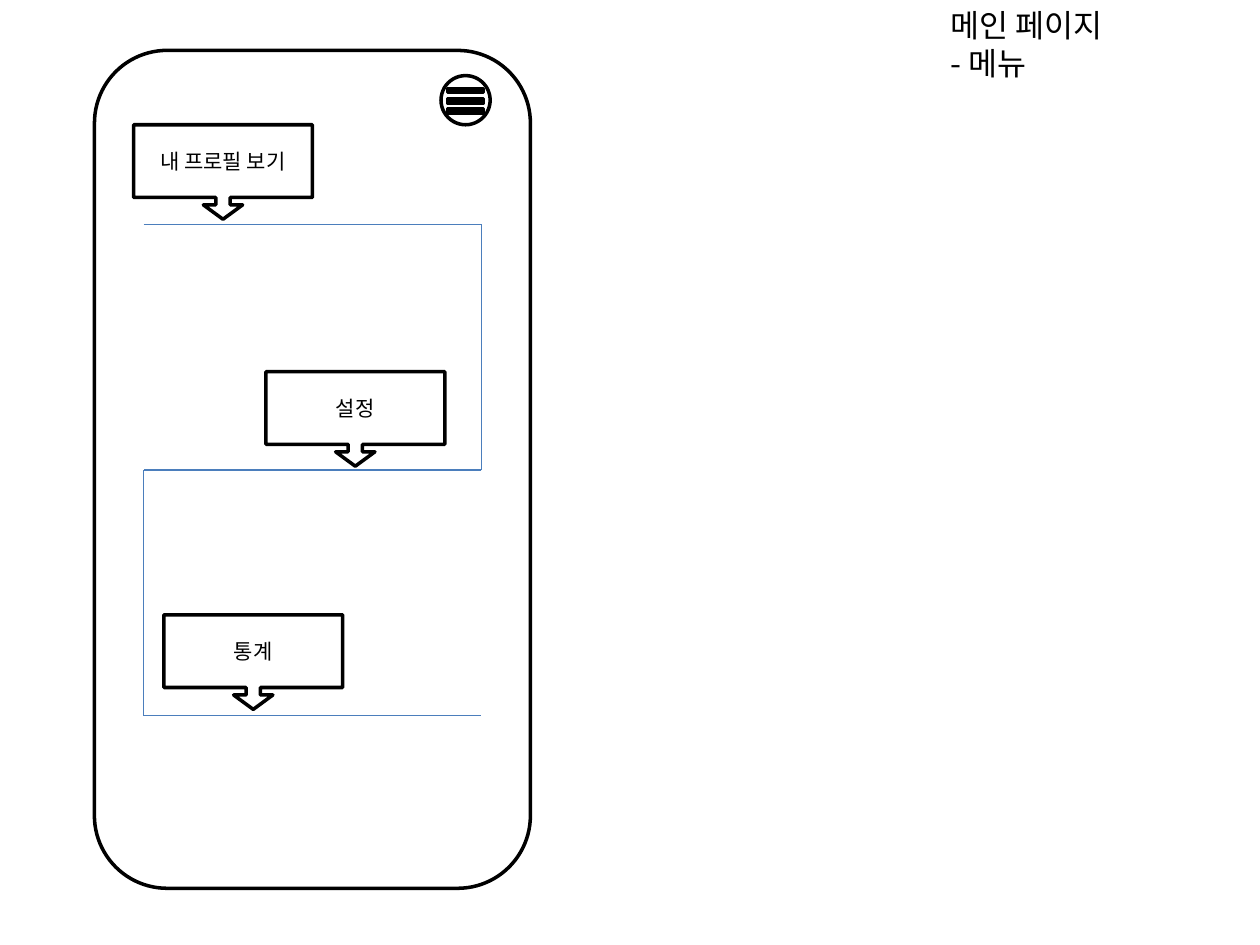
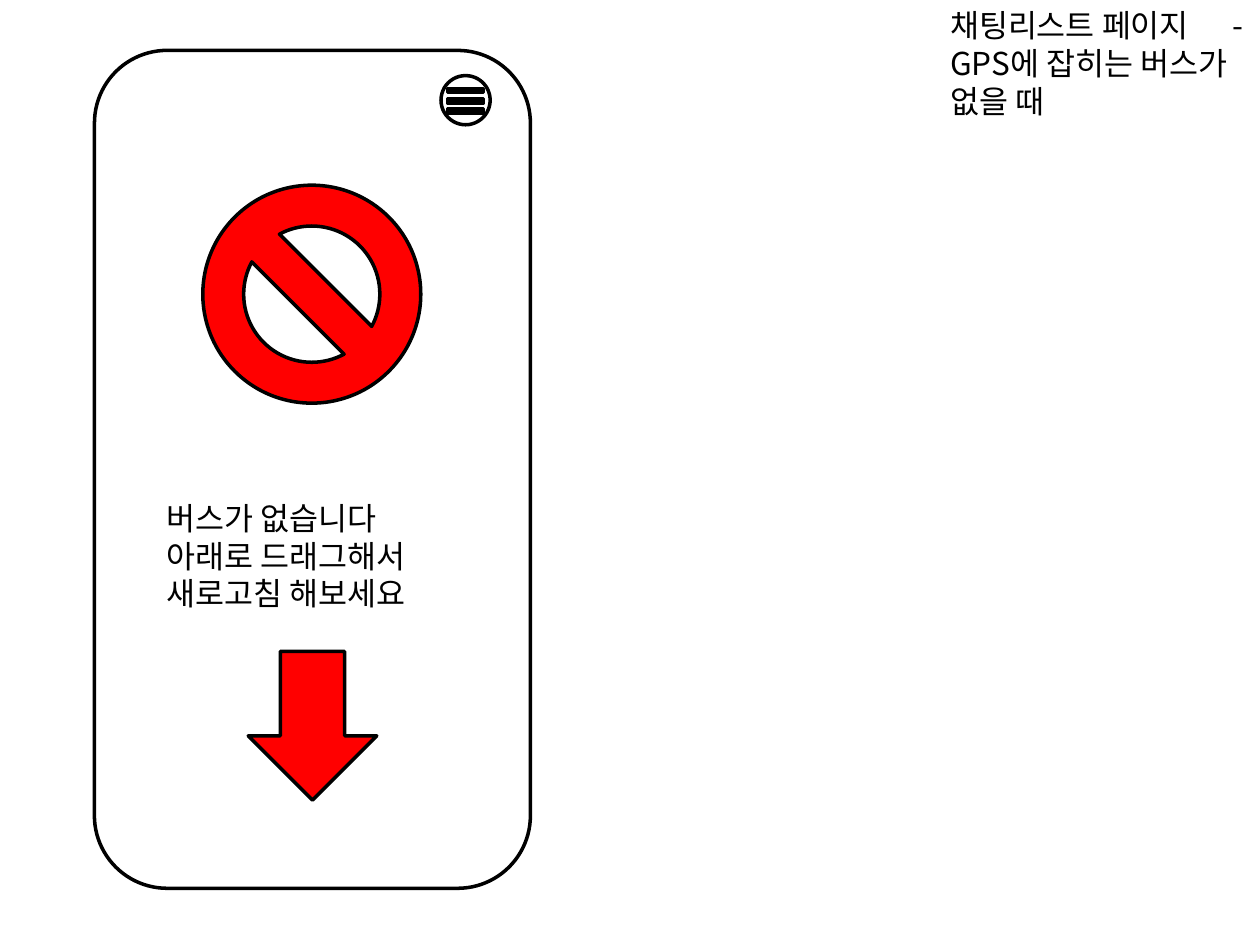
"""Builds two wireframe slides of a mobile bus-chat app."""
from itertools import pairwise

from lxml.etree import SubElement
from pptx import Presentation
from pptx.dml.color import RGBColor
from pptx.enum.shapes import MSO_CONNECTOR, MSO_SHAPE as Shape
from pptx.enum.text import MSO_ANCHOR as Anchor, MSO_AUTO_SIZE as AutoSize, PP_ALIGN as Align
from pptx.oxml.ns import qn
from pptx.util import Inches, Pt

BLACK = RGBColor(0, 0, 0)
WHITE = RGBColor(255, 255, 255)
RED = RGBColor(255, 0, 0)
BLUE = RGBColor(0x4B, 0x7E, 0xBC)
FONT = "Noto Sans CJK KR"
COLUMNS, ROWS = 100, 75
TITLE_ONLY = 5


class Wireframe:
    """Holds the deck, its style and the current page; lengths are grid cells."""

    def __init__(self):
        self.deck = Presentation()
        self.deck.slide_width, self.deck.slide_height = Inches(10), Inches(7.5)
        self.page = None

    def across(self, columns):
        return round(self.deck.slide_width * columns / COLUMNS)

    def down(self, rows):
        return round(self.deck.slide_height * rows / ROWS)

    def area(self, left, top, width, height):
        return self.across(left), self.down(top), self.across(width), self.down(height)

    def set_text(self, box, lines, size, align=Align.LEFT, anchor=Anchor.TOP, tab=None):
        frame = box.text_frame
        frame.text = "\n".join(lines)
        frame.word_wrap = True
        frame.auto_size = AutoSize.NONE
        frame.vertical_anchor = anchor
        for para in frame.paragraphs:
            para.alignment = align
            if tab:
                stops = SubElement(para._p.get_or_add_pPr(), qn("a:tabLst"))
                SubElement(stops, qn("a:tab"), pos=str(self.across(tab)), algn="l")
            para.font.size = Pt(size)
            para.font.color.rgb = BLACK
            para.font.name = FONT
            SubElement(para.font._element, qn("a:ea"), typeface=FONT)

    def new_page(self, heading, height, tab=None):
        self.page = self.deck.slides.add_slide(self.deck.slide_layouts[TITLE_ONLY])
        title = self.page.shapes.title
        title.left, title.top, title.width, title.height = self.area(74.4, 0, 25.6, height)
        self.set_text(title, heading, 18, tab=tab)
        self.phone()

    def shape(self, kind, area, fill=WHITE, parent=None):
        box = (parent or self.page).shapes.add_shape(kind, *self.area(*area))
        box.shadow.inherit = False
        box.fill.solid()
        box.fill.fore_color.rgb = fill
        box.line.color.rgb = BLACK
        box.line.width = Pt(2)
        return box

    def phone(self):
        self.shape(Shape.ROUNDED_RECTANGLE, (7.5, 4, 34.6, 66.5))
        self.shape(Shape.OVAL, (35, 6, 3.9, 3.9))
        menu = self.page.shapes.add_group_shape()
        for bar in range(3):
            self.shape(Shape.MATH_MINUS, (35, 6.5 + 0.8 * bar, 3.9, 1.4), BLACK, menu)

    def callout(self, label, left, top):
        box = self.shape(Shape.DOWN_ARROW_CALLOUT, (left, top, 14.2, 7.5))
        for index, value in enumerate((0.152, 0.208, 0.152, 0.769)):
            box.adjustments[index] = value
        self.set_text(box, [label], 12, Align.CENTER, Anchor.MIDDLE)

    def text(self, content, area):
        self.set_text(self.page.shapes.add_textbox(*self.area(*area)), [content], 18)

    def route(self, stops):
        for (x1, y1), (x2, y2) in pairwise(stops):
            line = self.page.shapes.add_connector(
                MSO_CONNECTOR.STRAIGHT,
                self.across(x1), self.down(y1), self.across(x2), self.down(y2))
            line.line.color.rgb = BLUE
            line.line.width = Pt(0.75)
            SubElement(line._element.spPr, qn("a:effectLst"))


def menu_page(wireframe):
    wireframe.new_page(["메인 페이지", "- 메뉴"], 7.1)
    left, right = 11.4, 38.2
    top, middle, bottom = (17.8 + 19.5 * stage for stage in range(3))
    wireframe.route([(left, top), (right, top), (right, middle),
                     (left, middle), (left, bottom), (right, bottom)])
    for label, x, y in (("내 프로필 보기", 10.6, 9.9), ("설정", 21.1, 29.5), ("통계", 13, 48.8)):
        wireframe.callout(label, x, y)


def no_bus_page(wireframe):
    wireframe.new_page(["채팅리스트 페이지\t- GPS에 잡히는 버스가 없을 때"], 10.1, tab=22.4)
    wireframe.shape(Shape.NO_SYMBOL, (16.1, 14.7, 17.3, 17.3), RED)
    wireframe.text("버스가 없습니다 아래로 드래그해서 새로고침 해보세요", (12.2, 39.1, 25.2, 10.1))
    wireframe.shape(Shape.DOWN_ARROW, (19.7, 51.7, 10.2, 11.8), RED)


def main():
    wireframe = Wireframe()
    menu_page(wireframe)
    no_bus_page(wireframe)
    wireframe.deck.save("out.pptx")


if __name__ == "__main__":
    main()
